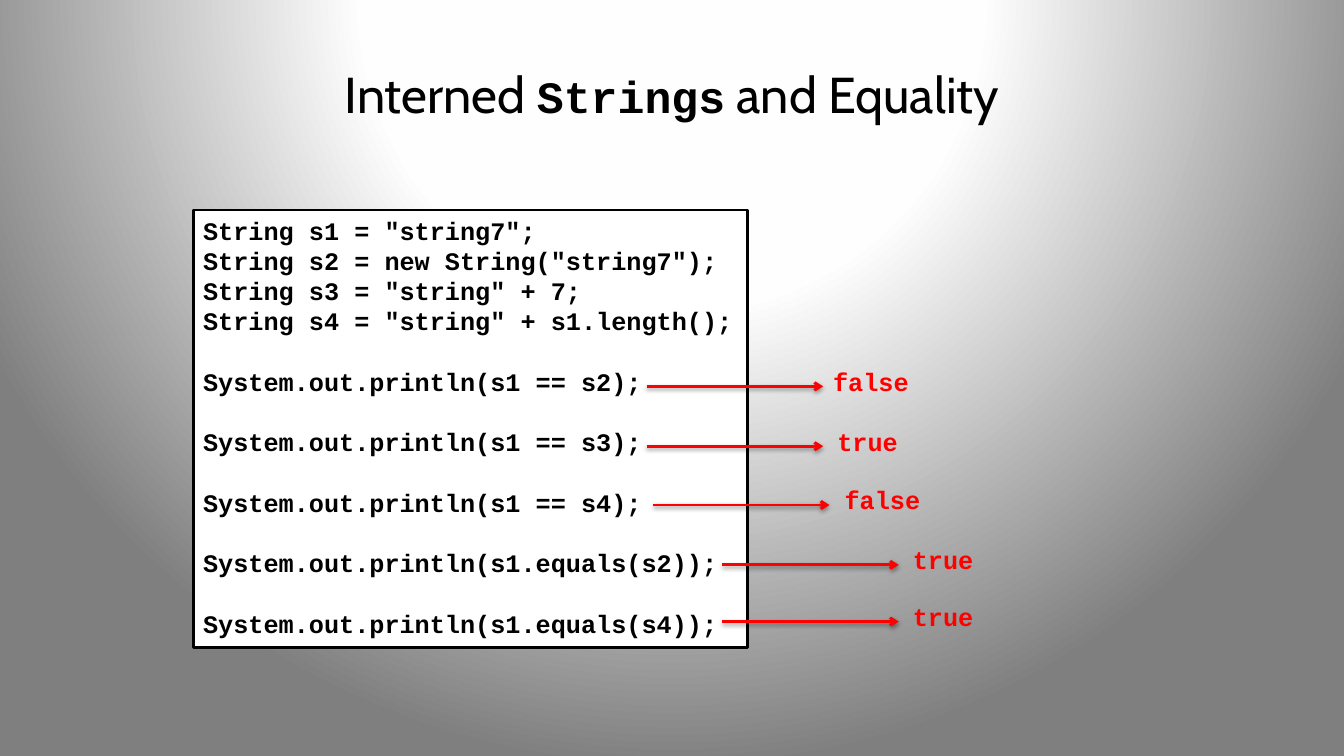
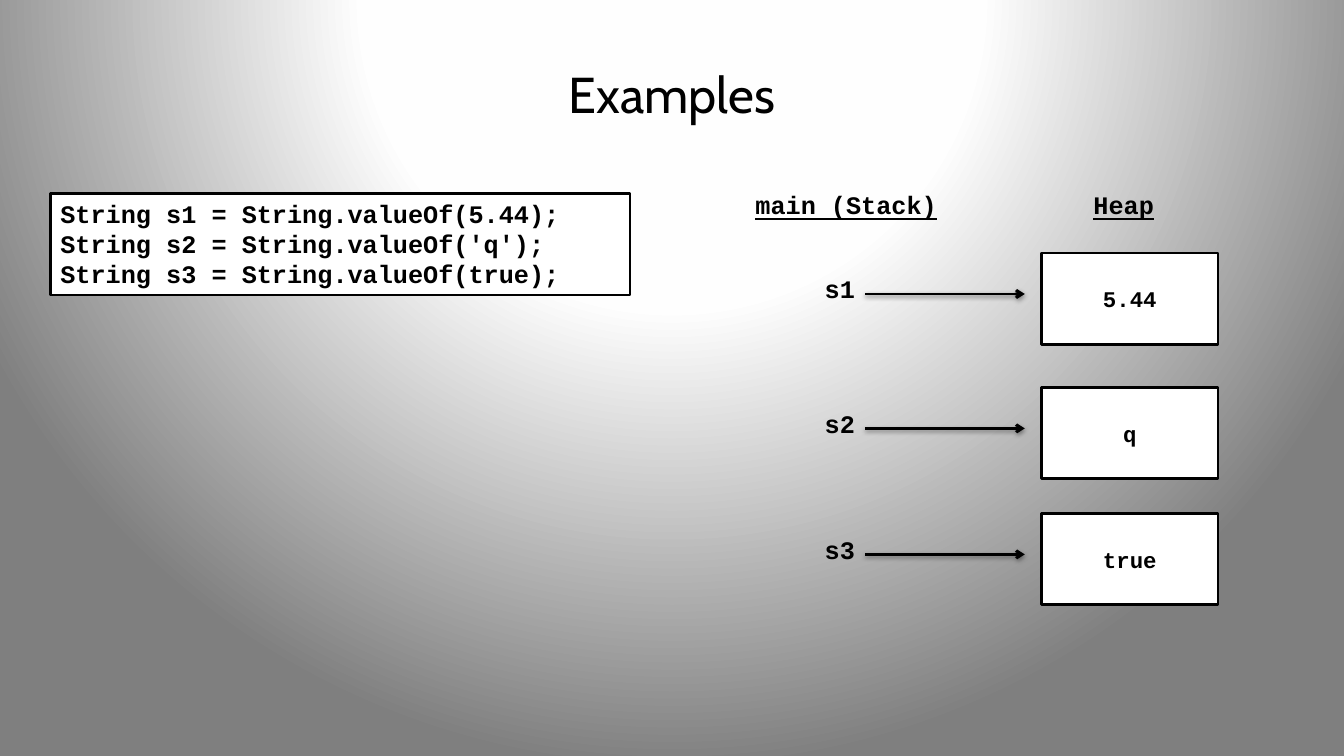
from pptx import Presentation
from pptx.dml.color import RGBColor
from pptx.enum.shapes import MSO_CONNECTOR, MSO_SHAPE
from pptx.enum.text import MSO_ANCHOR, PP_ALIGN
from pptx.oxml import parse_xml
from pptx.oxml.ns import nsdecls
from pptx.util import Pt

PX = 9525
BLACK = RGBColor(0x00, 0x00, 0x00)
WHITE = RGBColor(0xFF, 0xFF, 0xFF)
RED = RGBColor(0xFF, 0x00, 0x00)
STRAIGHT = MSO_CONNECTOR.STRAIGHT
RECTANGLE = MSO_SHAPE.RECTANGLE
TOP, MIDDLE = MSO_ANCHOR.TOP, MSO_ANCHOR.MIDDLE
LEFT, CENTER = PP_ALIGN.LEFT, PP_ALIGN.CENTER

TITLE_FORMAT = {"name": "Cabin", "size": Pt(36), "bold": False}
TITLE_CODE_FORMAT = {"name": "Courier New", "size": Pt(32), "bold": True}
CODE_FORMAT = {"name": "Courier New", "size": Pt(18), "bold": True}
HEADING_FORMAT = CODE_FORMAT | {"underline": True}
VALUE_FORMAT = CODE_FORMAT | {"size": Pt(16)}

BACKGROUND = f"""<p:bg {nsdecls("p", "a")}><p:bgPr>
<a:gradFill rotWithShape="1"><a:gsLst>
<a:gs pos="0"><a:srgbClr val="FFFFFF"/></a:gs>
<a:gs pos="40000"><a:srgbClr val="FEFEFE"/></a:gs>
<a:gs pos="100000"><a:srgbClr val="7F7F7F"/></a:gs>
</a:gsLst><a:path path="circle">
<a:fillToRect l="50000" t="-80000" r="50000" b="180000"/>
</a:path></a:gradFill><a:effectLst/></p:bgPr></p:bg>"""
ARROWHEAD = f'<a:tailEnd {nsdecls("a")} type="arrow"/>'
SHADOW = f"""<a:effectLst {nsdecls("a")}>
<a:outerShdw blurRad="40000" dist="20000" dir="5400000" rotWithShape="0">
<a:srgbClr val="000000"><a:alpha val="38000"/></a:srgbClr>
</a:outerShdw></a:effectLst>"""


def add_box(page, lines, place, text_format, color=BLACK, framed=False, align=LEFT, anchor=TOP):
    left, top, width, height = (value * PX for value in place)
    if framed:
        box = page.shapes.add_shape(RECTANGLE, left, top, width, height)
        box.shadow.inherit = False
        box.fill.solid()
        box.fill.fore_color.rgb = WHITE
        box.line.color.rgb = BLACK
        box.line.width = Pt(2)
    else:
        box = page.shapes.add_textbox(left, top, width, height)
    frame = box.text_frame
    frame.word_wrap = False
    frame.vertical_anchor = anchor
    frame.text = "\n".join(lines)
    for para in frame.paragraphs:
        para.alignment = align
        for span in para.runs:
            span.font.color.rgb = color
            for key, value in text_format.items():
                setattr(span.font, key, value)
    return box


def add_arrow(page, left, right, y, color):
    arrow = page.shapes.add_connector(STRAIGHT, left * PX, y * PX, right * PX, y * PX)
    arrow.line.color.rgb = color
    arrow.line.width = Pt(2)
    arrow.line._get_or_add_ln().append(parse_xml(ARROWHEAD))
    arrow._element.spPr.append(parse_xml(SHADOW))


deck = Presentation()
deck.slide_width, deck.slide_height = 1280 * PX, 720 * PX
content = deck.slide_master.element.cSld
content.remove(content.bg)
content.insert(0, parse_xml(BACKGROUND))

titles = [
    [("Interned ", TITLE_FORMAT), ("Strings", TITLE_CODE_FORMAT), (" and Equality", TITLE_FORMAT)],
    [("Examples", TITLE_FORMAT)],
]
pages = []
for title_spans in titles:
    page = deck.slides.add_slide(deck.slide_layouts[5])
    pages.append(page)
    title = page.shapes.title
    title.left, title.top, title.width, title.height = 64 * PX, 29 * PX, 1152 * PX, 120 * PX
    title.text_frame.vertical_anchor = MIDDLE
    para = title.text_frame.paragraphs[0]
    para.alignment = CENTER
    for text, text_format in title_spans:
        span = para.add_run()
        span.text = text
        span.font.color.rgb = BLACK
        for key, value in text_format.items():
            setattr(span.font, key, value)

equality_page, examples_page = pages

declarations = [
    'String s1 = "string7";',
    'String s2 = new String("string7");',
    'String s3 = "string" + 7;',
    'String s4 = "string" + s1.length();',
]
comparisons = ["s1 == s2", "s1 == s3", "s1 == s4", "s1.equals(s2)", "s1.equals(s4)"]
prints = [f"System.out.println({comparison});" for comparison in comparisons]
code = add_box(equality_page, declarations + prints, (184, 200, 528, 417), CODE_FORMAT, framed=True)
for para in code.text_frame.paragraphs[len(declarations):]:
    para.space_before = Pt(21.6)

results = [
    ("false", 616, 784, 368),
    ("true", 616, 788, 425),
    ("false", 622, 795, 481),
    ("true", 688, 860, 538),
    ("true", 688, 860, 592),
]
for result, arrow_left, label_left, y in results:
    add_arrow(equality_page, arrow_left, arrow_left + 168, y, RED)
    width = 92 if result == "false" else 78
    add_box(equality_page, [result], (label_left, y - 24, width, 38), CODE_FORMAT, RED)

conversions = [f"String s{number} = String.valueOf({value});"
               for number, value in enumerate(["5.44", "'q'", "true"], 1)]
add_box(examples_page, conversions, (48, 184, 552, 97), CODE_FORMAT, framed=True)
for heading, left, width in [("main (Stack)", 710, 194), ("Heap", 1032, 78)]:
    add_box(examples_page, [heading], (left, 176, width, 38), HEADING_FORMAT)
for variable, value, y in [("s1", "5.44", 280), ("s2", "q", 408), ("s3", "true", 528)]:
    add_box(examples_page, [variable], (776, y - 24, 48, 38), CODE_FORMAT)
    add_arrow(examples_page, 824, 976, y, BLACK)
    add_box(examples_page, [value], (992, y - 39, 168, 87), VALUE_FORMAT,
            framed=True, align=CENTER, anchor=MIDDLE)

deck.save("out.pptx")
